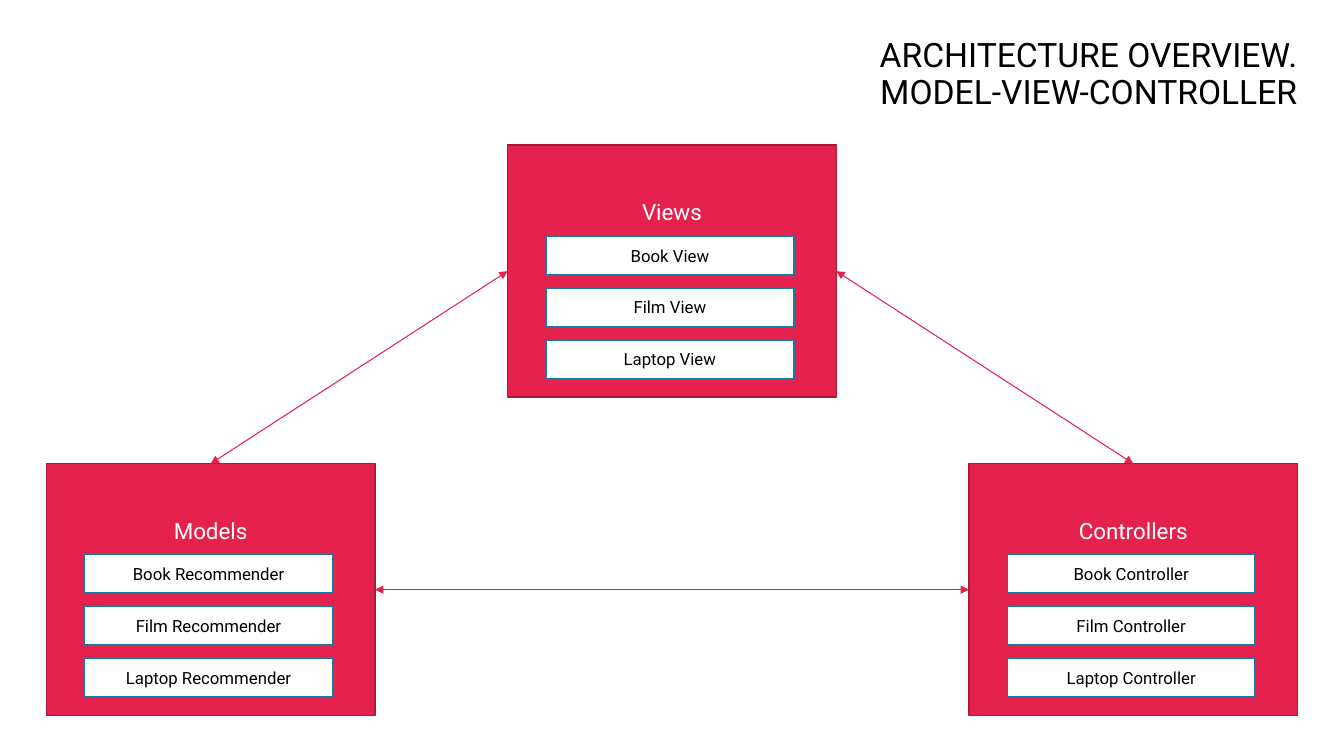
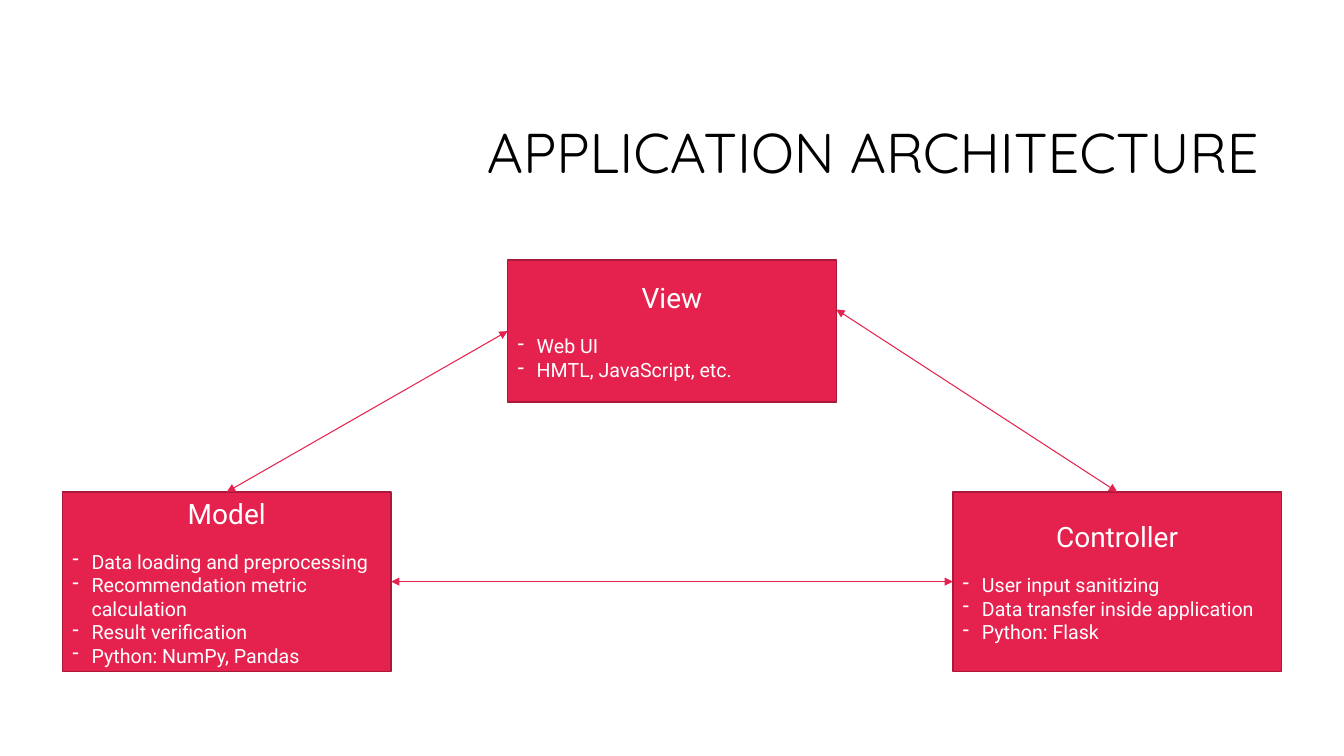
from dataclasses import dataclass

from pptx import Presentation
from pptx.dml.color import RGBColor
from pptx.enum.shapes import MSO_CONNECTOR, MSO_SHAPE
from pptx.enum.text import MSO_ANCHOR, MSO_AUTO_SIZE, PP_ALIGN
from pptx.oxml.ns import qn
from pptx.util import Inches, Pt
from lxml.etree import SubElement

COLUMNS, ROWS = 80, 45
CELL = Inches(1) // 6
CARD_WIDTH = 19.56
TOP, LEFT, RIGHT = 0, 1, 3  # connection sites of a rectangle


@dataclass(frozen=True)
class Theme:
    ink: str = "000000"
    paper: str = "FFFFFF"
    accent: str = "E5224E"
    accent_edge: str = "A9193A"
    entry_edge: str = "127CA4"
    text_font: str = "Roboto"
    display_font: str = "Quicksand"
    overview_title: int = 24
    display_title: int = 40
    group_heading: int = 16
    card_heading: int = 20
    point: int = 14
    entry: int = 12
    outline: float = 1
    arrow: float = 0.75


def cells(count):
    return round(count * CELL)


def card_columns(margin):
    """Left edges of a left, a centred and a right card."""
    return margin, (COLUMNS - CARD_WIDTH) / 2, COLUMNS - margin - CARD_WIDTH


class Deck:
    def __init__(self, theme):
        self.theme = theme
        self.presentation = Presentation()
        self.presentation.slide_width = cells(COLUMNS)
        self.presentation.slide_height = cells(ROWS)
        self.slide = None

    def style_text(self, paragraph, size, color, font=None, align=PP_ALIGN.CENTER):
        paragraph.alignment = align
        for run in paragraph.runs:
            run.font.size = Pt(size)
            run.font.name = font or self.theme.text_font
            run.font.color.rgb = RGBColor.from_string(color)

    def titled_slide(self, title, left, top, size, font):
        layout = self.presentation.slide_layouts.get_by_name("Title Only")
        self.slide = self.presentation.slides.add_slide(layout)
        heading = self.slide.shapes.title
        heading.left, heading.top = cells(left), cells(top)
        heading.width, heading.height = cells(56.52), cells(8.46)
        frame = heading.text_frame
        frame.text = title
        frame.auto_size = MSO_AUTO_SIZE.NONE
        frame.vertical_anchor = MSO_ANCHOR.MIDDLE
        for line in frame.paragraphs:
            line.line_spacing = 0.9
            self.style_text(line, size, self.theme.ink, font, PP_ALIGN.RIGHT)

    def box(self, left, top, width, height, fill, edge, text):
        box = self.slide.shapes.add_shape(
            MSO_SHAPE.RECTANGLE, *map(cells, (left, top, width, height)))
        box.shadow.inherit = False
        box.fill.solid()
        box.fill.fore_color.rgb = RGBColor.from_string(fill)
        box.line.color.rgb = RGBColor.from_string(edge)
        box.line.width = Pt(self.theme.outline)
        box.text_frame.word_wrap = True
        box.text_frame.vertical_anchor = MSO_ANCHOR.MIDDLE
        box.text_frame.text = text
        return box

    def card(self, left, top, height, text):
        theme = self.theme
        return self.box(left, top, CARD_WIDTH, height,
                        theme.accent, theme.accent_edge, text)

    def group(self, left, top, heading, entries):
        """A card with its heading above a stack of white entries."""
        theme = self.theme
        card = self.card(left, top, 15, heading)
        card.text_frame.vertical_anchor = MSO_ANCHOR.TOP
        card.text_frame.margin_top = cells(3.18)
        self.style_text(card.text_frame.paragraphs[0], theme.group_heading, theme.paper)
        for row, name in enumerate(entries):
            entry = self.box(left + 2.28, top + 5.42 + row * 3.09, 14.76, 2.28,
                             theme.paper, theme.entry_edge, name)
            self.style_text(entry.text_frame.paragraphs[0], theme.entry, theme.ink)
        return card

    def bullet_card(self, left, top, height, heading, points):
        theme = self.theme
        card = self.card(left, top, height, "\n".join([heading, *points]))
        title, *lines = card.text_frame.paragraphs
        self.style_text(title, theme.card_heading, theme.paper)
        title.space_after = Pt(14)
        for line in lines:
            self.style_text(line, theme.point, theme.paper, align=PP_ALIGN.LEFT)
            properties = line._p.get_or_add_pPr()
            properties.set("marL", str(Inches(0.19)))
            properties.set("indent", str(-Inches(0.19)))
            SubElement(properties, qn("a:buChar"), char="-")
        return card

    def link(self, start, start_site, end, end_site, lift=0):
        """Double arrow between two cards; lift raises its end off the site."""
        arrow = self.slide.shapes.add_connector(MSO_CONNECTOR.STRAIGHT, 0, 0, 0, 0)
        arrow.begin_connect(start, start_site)
        arrow.end_connect(end, end_site)
        if lift:
            glue = arrow._element.find(".//" + qn("a:endCxn"))
            glue.getparent().remove(glue)
            arrow.end_y -= cells(lift)
        arrow.line.color.rgb = RGBColor.from_string(self.theme.accent)
        arrow.line.width = Pt(self.theme.arrow)
        properties = arrow._element.spPr
        for tip in ("a:headEnd", "a:tailEnd"):
            SubElement(properties.find(qn("a:ln")), qn(tip), type="triangle")
        SubElement(properties, qn("a:effectLst"))

    def link_triangle(self, model, view, controller, lift=0):
        self.link(model, TOP, view, LEFT)
        self.link(controller, TOP, view, RIGHT, lift)
        self.link(model, RIGHT, controller, LEFT)


def add_overview(deck):
    theme = deck.theme
    deck.titled_slide("ARCHITECTURE OVERVIEW.\nMODEL-VIEW-CONTROLLER",
                      21.3, 0.24, theme.overview_title, theme.text_font)
    roles = (("Models", "Recommender", 27.6),
             ("Views", "View", 8.64),
             ("Controllers", "Controller", 27.6))
    groups = [
        deck.group(left, top, heading,
                   [f"{item} {role}" for item in ("Book", "Film", "Laptop")])
        for left, (heading, role, top) in zip(card_columns(2.76), roles)]
    deck.link_triangle(*groups)


def add_application(deck):
    theme = deck.theme
    deck.titled_slide("APPLICATION ARCHITECTURE",
                      19.02, 5.04, theme.display_title, theme.display_font)
    parts = (
        (29.28, 10.68, "Model", ["Data loading and preprocessing",
                                 "Recommendation metric calculation",
                                 "Result verification",
                                 "Python: NumPy, Pandas"]),
        (15.48, 8.46, "View", ["Web UI", "HMTL, JavaScript, etc."]),
        (29.28, 10.68, "Controller", ["User input sanitizing",
                                      "Data transfer inside application",
                                      "Python: Flask"]))
    cards = [deck.bullet_card(left, *part)
             for left, part in zip(card_columns(3.72), parts)]
    deck.link_triangle(*cards, lift=1.29)


def main():
    deck = Deck(Theme())
    add_overview(deck)
    add_application(deck)
    deck.presentation.save("out.pptx")


if __name__ == "__main__":
    main()
